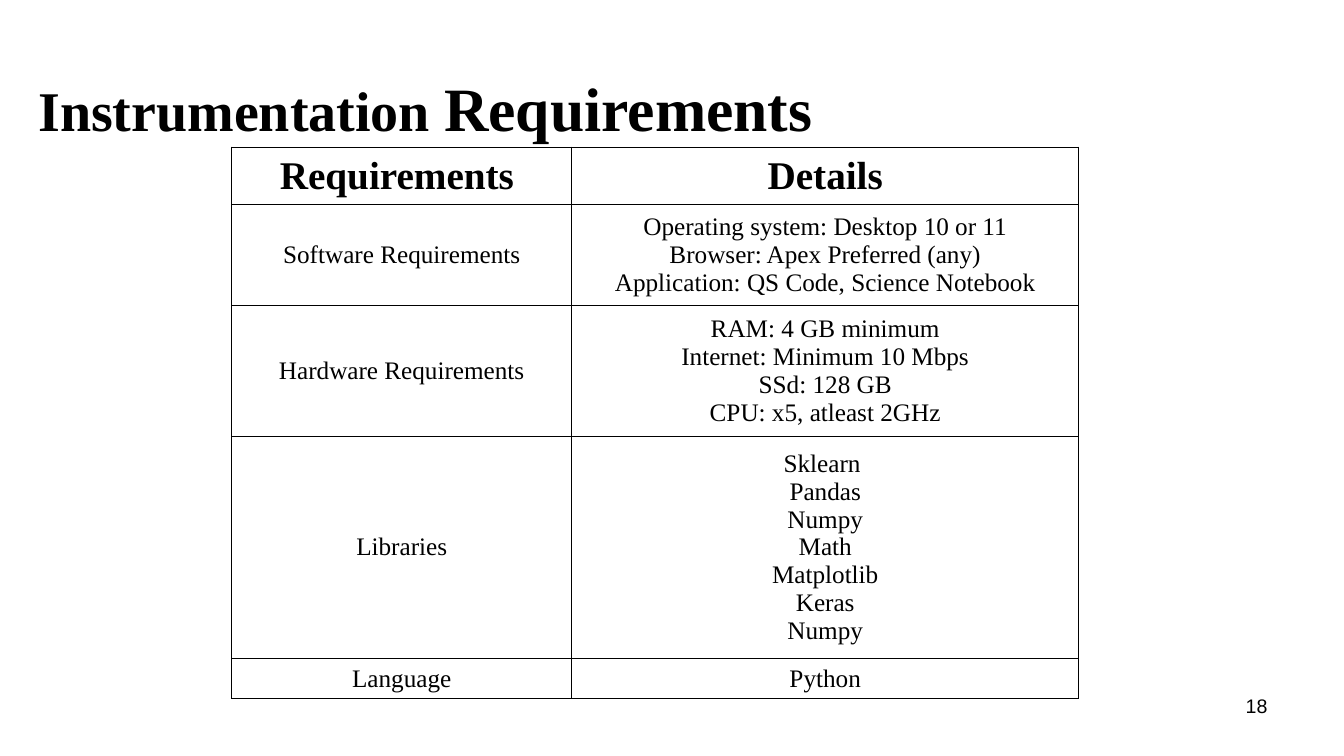
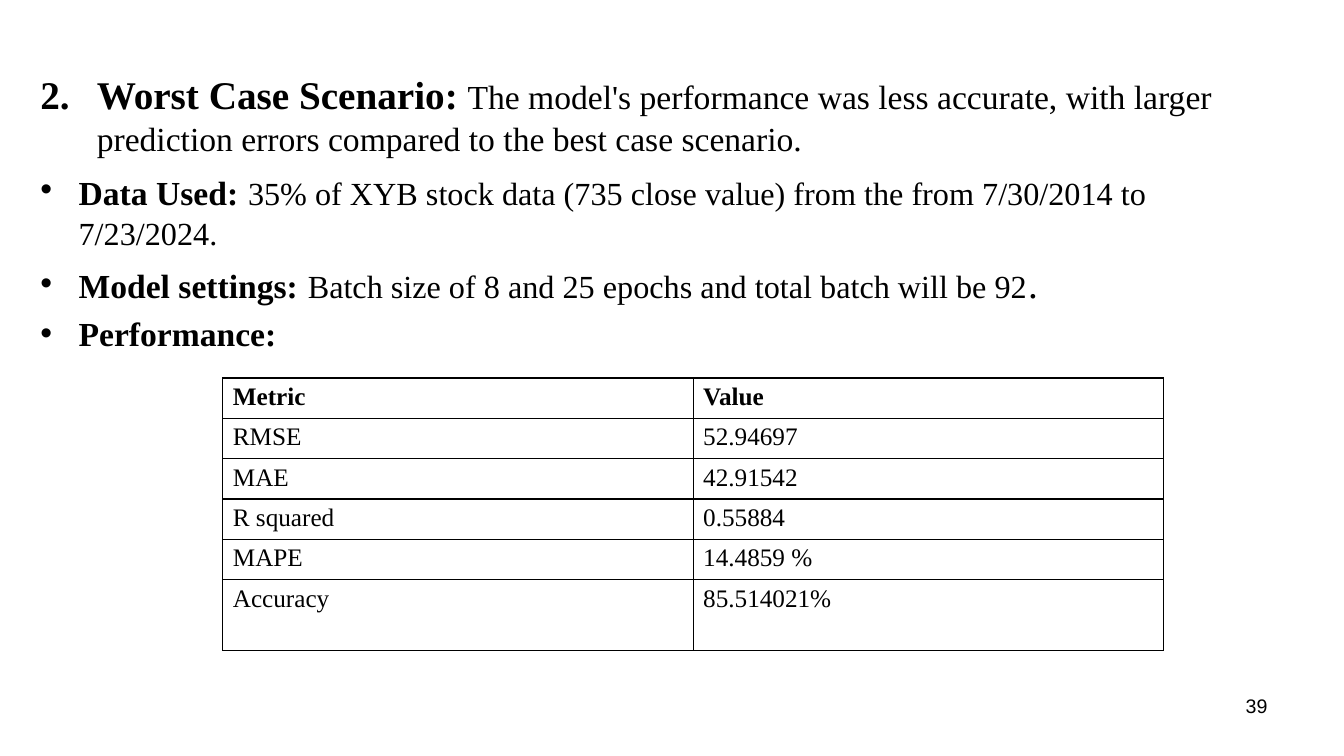
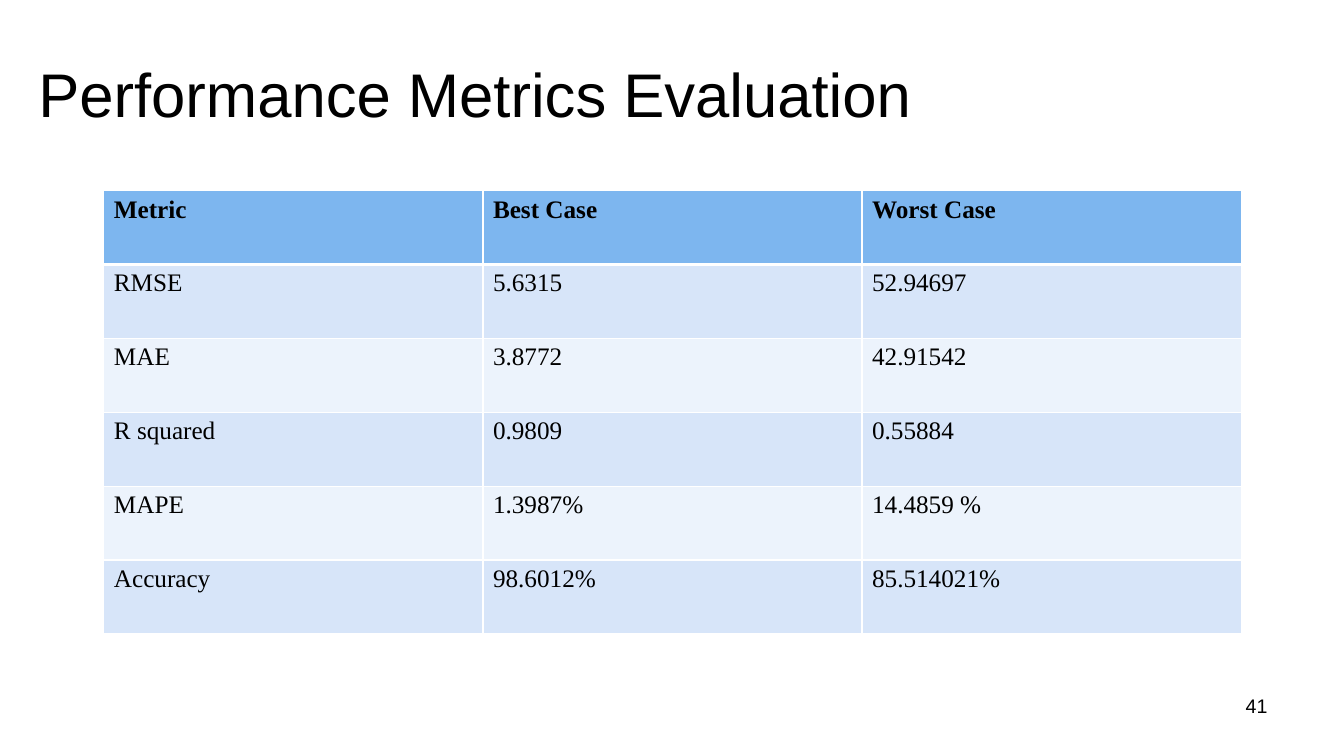
from lxml.etree import SubElement
from pptx import Presentation
from pptx.dml.color import RGBColor
from pptx.enum.text import MSO_ANCHOR, MSO_AUTO_SIZE, PP_ALIGN
from pptx.oxml.ns import qn
from pptx.util import Inches, Pt

# Shared look
COLORS = {"ink": "000000", "paper": "FFFFFF", "header": "7DB6EF",
          "band": "D7E5F9", "pale": "ECF3FC"}
SERIF, SANS = "Times New Roman", "Arial"
SLIDE_W, SLIDE_H = 13.33, 7.5
MARGIN = 0.28
TITLE_W, TITLE_H = 12, 1.25
PAGE_NUMBER_BOX = (9.56, 6.83, 3.11, 0.52)

# Content: a text run is (text, size, bold)
REQUIREMENTS_TITLE = [("Instrumentation ", 40, True), ("Requirements", 44, True)]
REQUIREMENTS = [
    ("Requirements ", "Details"),
    ("Software Requirements", "Operating system: Desktop 10 or 11\n"
     "Browser: Apex Preferred (any)\nApplication: QS Code, Science Notebook"),
    ("Hardware Requirements", "RAM: 4 GB minimum\nInternet: Minimum 10 Mbps\n"
     "SSd: 128 GB\nCPU: x5, atleast 2GHz"),
    ("Libraries", "Sklearn \nPandas\nNumpy\nMath\nMatplotlib\nKeras\nNumpy"),
    ("Language", "Python"),
]

# Each paragraph: number or None, space before, runs
WORST_CASE = [
    (2, 0, [("Worst Case Scenario: ", 28, True),
            ("The model's performance was less accurate, with larger prediction "
             "errors compared to the best case scenario.", 24, False)]),
    (None, 5.6, [("Data Used:", 24, True), (" ", 28, False),
                 ("35% of XYB stock data (735 close value) from the from "
                  "7/30/2014 to 7/23/2024.", 23, False)]),
    (None, 5.6, [("Model settings:", 24, True), (" ", 28, False),
                 ("Batch size of 8 and 25 epochs and total batch will be 92", 23, False),
                 (".", 28, False)]),
    (None, 4.8, [("Performance:", 24, True)]),
]

METRICS_TITLE = [("Performance Metrics Evaluation", 44, False)]
METRICS = [
    ("Metric", "Best Case", "Worst Case"),
    ("RMSE", "5.6315", "52.94697"),
    ("MAE", "3.8772", "42.91542"),
    ("R squared", "0.9809", "0.55884"),
    ("MAPE", "1.3987%", "14.4859 %"),
    ("Accuracy", "98.6012%", "85.514021%"),
]
WORST_METRICS = [("Metric", "Value")] + [(name, worst) for name, _, worst in METRICS[1:]]


def place(shape, left, top, width, height):
    shape.left, shape.top = Inches(left), Inches(top)
    shape.width, shape.height = Inches(width), Inches(height)


def add_run(paragraph, text, size, bold, font=SERIF):
    run = paragraph.add_run()
    run.text = text
    run.font.name, run.font.size, run.font.bold = font, Pt(size), bold
    run.font.color.rgb = RGBColor.from_string(COLORS["ink"])


def add_slide(prs, layout, page):
    slide = prs.slides.add_slide(prs.slide_layouts[layout])
    frame = slide.shapes.add_textbox(*map(Inches, PAGE_NUMBER_BOX)).text_frame
    frame.word_wrap = True
    frame.paragraphs[0].alignment = PP_ALIGN.RIGHT
    add_run(frame.paragraphs[0], str(page), 14, False, SANS)
    return slide


def set_title(slide, runs, top, font):
    title = slide.shapes.title
    place(title, MARGIN, top, TITLE_W, TITLE_H)
    frame = title.text_frame
    frame.auto_size, frame.vertical_anchor = MSO_AUTO_SIZE.NONE, MSO_ANCHOR.MIDDLE
    frame.paragraphs[0].alignment = PP_ALIGN.LEFT
    for run in runs:
        add_run(frame.paragraphs[0], *run, font)


def set_bullet(paragraph, number, indent):
    props = paragraph._p.get_or_add_pPr()
    props.set("marL", str(Inches(indent)))
    props.set("indent", str(-Inches(indent)))
    if number:
        SubElement(props, qn("a:buFont"), typeface="+mj-lt")
        SubElement(props, qn("a:buAutoNum"), type="arabicPeriod", startAt=str(number))
    else:
        SubElement(props, qn("a:buFont"), typeface=SANS)
        SubElement(props, qn("a:buChar"), char="•")


def set_borders(cell, color, bottom):
    props = cell._tc.get_or_add_tcPr()
    for side, points in (("L", 1), ("R", 1), ("T", 1), ("B", bottom)):
        line = SubElement(props, qn(f"a:ln{side}"), w=str(Pt(points)))
        fill = SubElement(line, qn("a:solidFill"))
        SubElement(fill, qn("a:srgbClr"), val=COLORS[color])


def add_grid(slide, rows, left, top, widths, heights, line="ink", fills=None,
             header_size=18, header_rule=1, centred=False):
    """Table with a bold first row; fills gives one colour name per row."""
    frame = slide.shapes.add_table(
        len(rows), len(widths), Inches(left), Inches(top),
        Inches(sum(widths)), Inches(sum(heights)))
    table = frame.table
    table.first_row = table.horz_banding = False
    for column, width in zip(table.columns, widths):
        column.width = Inches(width)
    for r, values in enumerate(rows):
        table.rows[r].height = Inches(heights[r])
        for c, value in enumerate(values):
            cell = table.cell(r, c)
            set_borders(cell, line, header_rule if r == 0 else 1)
            if fills:
                cell.fill.solid()
                cell.fill.fore_color.rgb = RGBColor.from_string(COLORS[fills[r]])
            else:
                cell.fill.background()
            cell.vertical_anchor = MSO_ANCHOR.MIDDLE if centred else MSO_ANCHOR.TOP
            for i, text in enumerate(value.split("\n")):
                body = cell.text_frame
                paragraph = body.add_paragraph() if i else body.paragraphs[0]
                paragraph.alignment = PP_ALIGN.CENTER if centred else PP_ALIGN.LEFT
                add_run(paragraph, text, 18 if r else header_size, r == 0)


def requirements_slide(prs):
    slide = add_slide(prs, 5, 18)
    set_title(slide, REQUIREMENTS_TITLE, 0.44, SERIF)
    # The last two rows grow to fit their text
    add_grid(slide, REQUIREMENTS, 2.3, 1.46, [3.37, 5.03],
             [0.57, 1, 1.3, 1.62, 0.27], header_size=28, centred=True)


def worst_case_slide(prs):
    slide = add_slide(prs, 1, 39)
    title = slide.shapes.title
    title.element.getparent().remove(title.element)
    findings = slide.placeholders[1]
    place(findings, 0.3, 0.65, 12, 4.95)
    frame = findings.text_frame
    frame.auto_size = MSO_AUTO_SIZE.NONE
    for i, (number, space, runs) in enumerate(WORST_CASE):
        paragraph = frame.add_paragraph() if i else frame.paragraphs[0]
        paragraph.line_spacing, paragraph.space_before = 1.0, Pt(space)
        set_bullet(paragraph, number, 0.56 if number else 0.38)
        for run in runs:
            add_run(paragraph, *run)
    add_grid(slide, WORST_METRICS, 2.21, 3.75, [9.33 / 2] * 2, [0.4] * 5 + [0.7])


def metrics_slide(prs):
    slide = add_slide(prs, 5, 41)
    set_title(slide, METRICS_TITLE, 0.3, SANS)
    fills = ["header"] + [("pale", "band")[r % 2] for r in range(1, len(METRICS))]
    add_grid(slide, METRICS, 1.03, 1.89, [3.76] * 3, [4.4 / len(METRICS)] * len(METRICS),
             line="paper", fills=fills, header_rule=3)


def main():
    prs = Presentation()
    prs.slide_width, prs.slide_height = Inches(SLIDE_W), Inches(SLIDE_H)
    background = prs.slide_master.background.fill
    background.solid()
    background.fore_color.rgb = RGBColor.from_string(COLORS["paper"])
    requirements_slide(prs)
    worst_case_slide(prs)
    metrics_slide(prs)
    prs.save("out.pptx")


if __name__ == "__main__":
    main()
